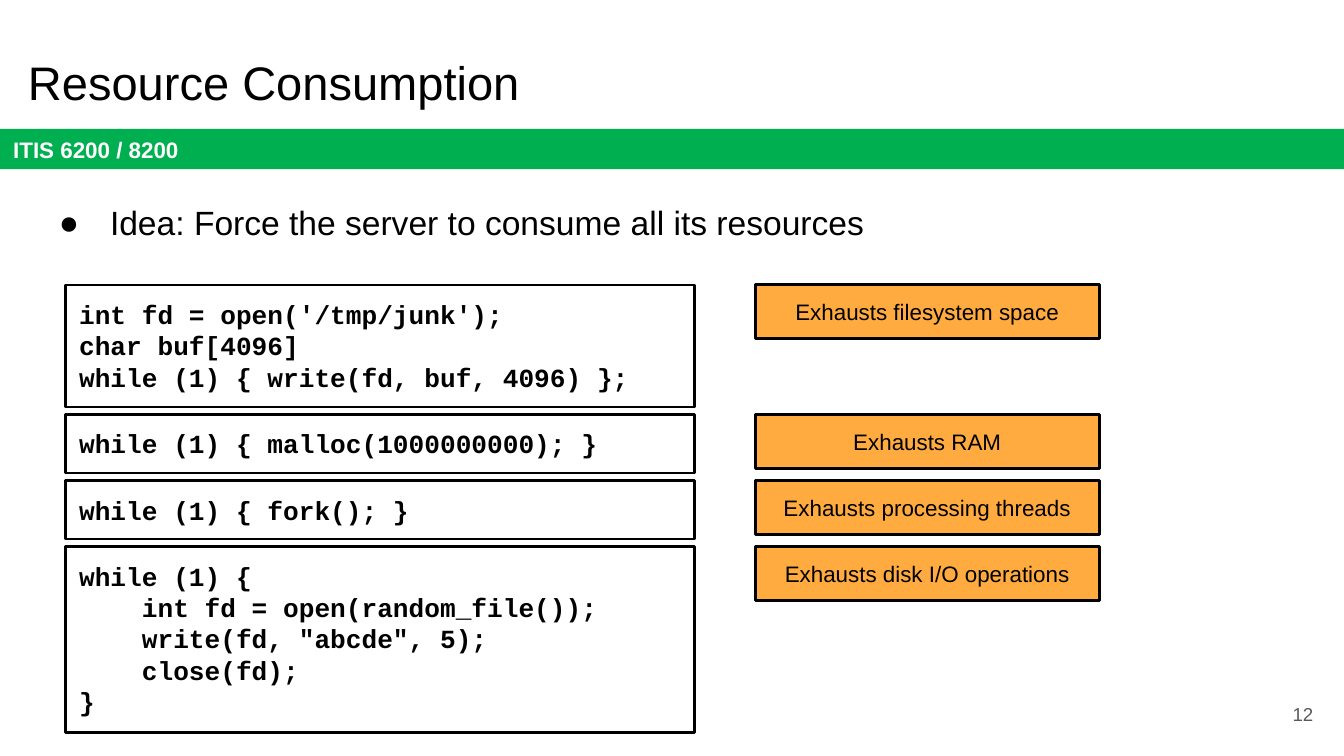
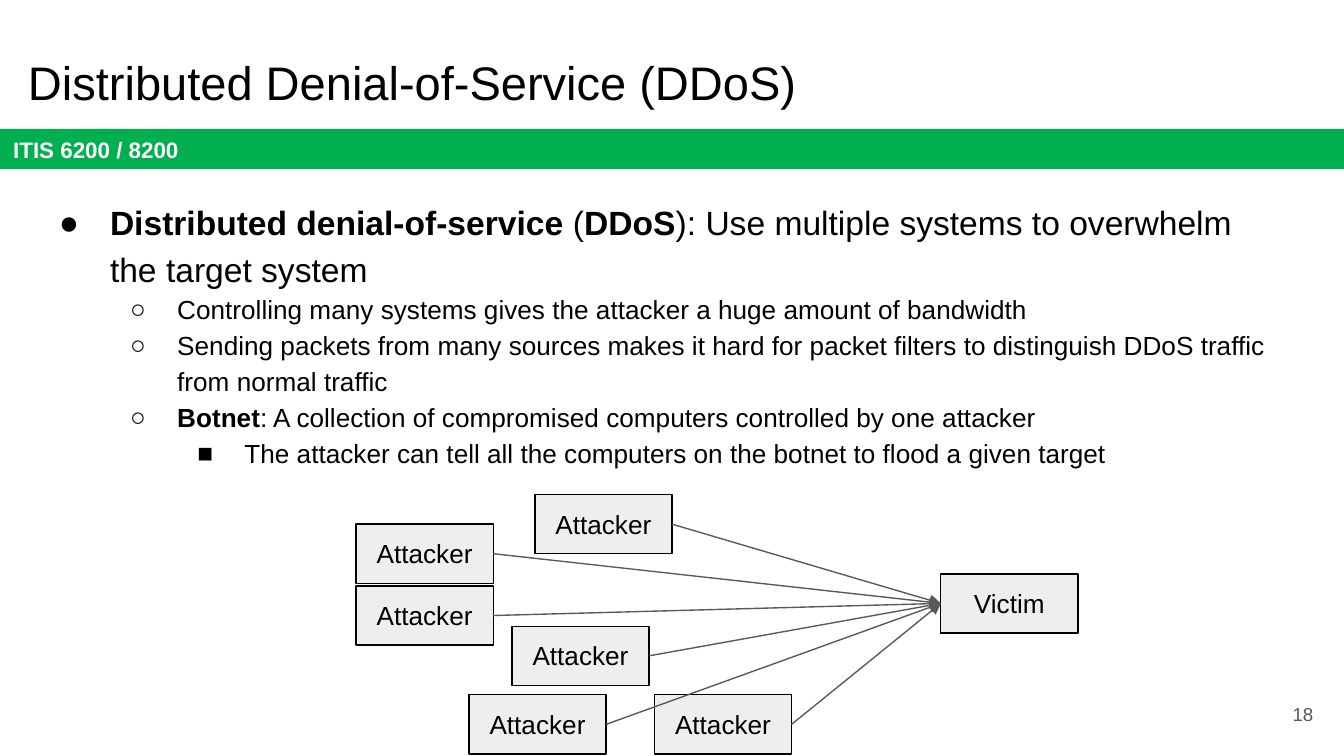
from lxml.etree import SubElement
from pptx import Presentation
from pptx.dml.color import RGBColor
from pptx.enum.shapes import MSO_CONNECTOR, MSO_SHAPE
from pptx.enum.text import MSO_ANCHOR, PP_ALIGN
from pptx.oxml.ns import qn
from pptx.util import Inches, Pt

HUES = dict(black="000000", white="FFFFFF", green="00B050", gold="FFAB40",
            pale="EEEEEE", gray="595959")
BAND = "ITIS 6200 / 8200"
LEVELS = [("●", 0.5, -0.38, 18), ("○", 1, -0.35, 14), ("■", 1.5, -0.35, 14)]

DRAIN = {
    "title": "Resource Consumption",
    "page": "12",
    "points": [(0, "Idea: Force the server to consume all its resources")],
}
ROWS = [
    (["int fd = open('/tmp/junk');",
      "char buf[4096]",
      "while (1) { write(fd, buf, 4096) };"], "Exhausts filesystem space"),
    (["while (1) { malloc(1000000000); }"], "Exhausts RAM"),
    (["while (1) { fork(); }"], "Exhausts processing threads"),
    (["while (1) {",
      "    int fd = open(random_file());",
      "    write(fd, \"abcde\", 5);",
      "    close(fd);\v}"], "Exhausts disk I/O operations"),
]

FLOOD = {
    "title": "Distributed Denial-of-Service (DDoS)",
    "page": "18",
    "points": [
        (0, "**Distributed denial-of-service** (**DDoS**): Use multiple systems "
            "to overwhelm the target system"),
        (1, "Controlling many systems gives the attacker a huge amount of bandwidth"),
        (1, "Sending packets from many sources makes it hard for packet filters "
            "to distinguish DDoS traffic from normal traffic"),
        (1, "**Botnet**: A collection of compromised computers controlled by one attacker"),
        (2, "The attacker can tell all the computers on the botnet to flood a given target"),
    ],
}
VICTIM = (7, 4.27)
BOTS = [(2.65, 3.9), (2.65, 4.36), (3.98, 3.68), (3.81, 4.66), (4.87, 5.17), (3.49, 5.17)]


def tint(name):
    return RGBColor.from_string(HUES[name])


def write(para, text, size=14, face="Arial", hue="black", bold=False, align=PP_ALIGN.LEFT):
    para.alignment = align
    for i, part in enumerate(text.split("\v")):
        if i:
            para.add_line_break()
        run = para.add_run()
        run.text = part
        font = run.font
        font.size, font.name, font.bold = Pt(size), face, bold
        font.color.rgb = tint(hue)


def setup(shape, anchor=MSO_ANCHOR.TOP):
    frame = shape.text_frame
    frame.word_wrap = True
    frame.vertical_anchor = anchor
    frame.margin_left = frame.margin_right = Inches(0.1)
    frame.margin_top = frame.margin_bottom = Inches(0.1)
    return frame


def fill(frame, lines, **style):
    for i, line in enumerate(lines):
        para = frame.add_paragraph() if i else frame.paragraphs[0]
        write(para, line, **style)


def label(slide, area, text, anchor=MSO_ANCHOR.TOP, **style):
    shape = slide.shapes.add_textbox(*map(Inches, area))
    fill(setup(shape, anchor), [text], **style)


def box(slide, area, lines, back="white", edge=None, anchor=MSO_ANCHOR.TOP, **style):
    shape = slide.shapes.add_shape(MSO_SHAPE.RECTANGLE, *map(Inches, area))
    shape.shadow.inherit = False
    shape.fill.solid()
    shape.fill.fore_color.rgb = tint(back)
    if edge:
        shape.line.color.rgb = tint("black")
        shape.line.width = Pt(edge)
    else:
        shape.line.fill.background()
    fill(setup(shape, anchor), lines, **style)
    return shape


def bullet(para, level, text):
    mark, left, hang, size = LEVELS[level]
    props = para._p.get_or_add_pPr()
    props.set("marL", str(Inches(left)))
    props.set("indent", str(Inches(hang)))
    color = SubElement(props, qn("a:buClr"))
    SubElement(color, qn("a:srgbClr"), val=HUES["black"])
    SubElement(props, qn("a:buFont"), typeface="Arial")
    SubElement(props, qn("a:buChar"), char=mark)
    para.level = level
    para.line_spacing = 1.15
    for i, part in enumerate(text.split("**")):
        if part:
            write(para, part, size=size, bold=i % 2 == 1)


def arrow(slide, start, end):
    line = slide.shapes.add_connector(MSO_CONNECTOR.STRAIGHT, 0, 0, 0, 0)
    line.begin_connect(start, 3)
    line.end_connect(end, 1)
    line.line.color.rgb = tint("gray")
    line.line.width = Pt(0.75)
    props = line._element.spPr
    SubElement(props.find(qn("a:ln")), qn("a:tailEnd"), type="triangle")
    SubElement(props, qn("a:effectLst"))


def base(deck, data, tall):
    slide = deck.slides.add_slide(deck.slide_layouts[6])
    box(slide, (0, 0.96, 10, 0.3), [BAND], back="green", anchor=MSO_ANCHOR.MIDDLE,
        size=12, hue="white", bold=True)
    label(slide, (0.11, 0.3, 9.32, 0.63), data["title"], size=25.2)
    body = slide.shapes.add_textbox(*map(Inches, (0.22, 1.36, 9.32, tall)))
    frame = setup(body)
    for i, (level, text) in enumerate(data["points"]):
        bullet(frame.add_paragraph() if i else frame.paragraphs[0], level, text)
    label(slide, (9.27, 5.1, 0.6, 0.43), data["page"], anchor=MSO_ANCHOR.MIDDLE,
          size=10, hue="gray", align=PP_ALIGN.RIGHT)
    return slide


def drain(deck):
    slide = base(deck, DRAIN, 0.95)
    top, step, gap = 2.12, 17 / 72, 4 / 72
    for code, note in ROWS:
        count = len("\v".join(code).split("\v"))
        tall = 0.2 + step * count
        box(slide, (0.49, top, 4.68, tall), code, edge=1.5, face="Courier New", bold=True)
        box(slide, (5.62, top, 2.56, 0.4), [note], back="gold", edge=1.5,
            size=12, align=PP_ALIGN.CENTER)
        top += tall + gap


def flood(deck):
    slide = base(deck, FLOOD, 4.12)

    def node(spot, name):
        return box(slide, (*spot, 1.02, 0.44), [name], back="pale", edge=0.75,
                   align=PP_ALIGN.CENTER)

    victim = node(VICTIM, "Victim")
    bots = [node(spot, "Attacker") for spot in BOTS]
    for bot in bots:
        arrow(slide, bot, victim)


def main():
    deck = Presentation()
    deck.slide_width = Inches(10)
    deck.slide_height = deck.slide_width * 9 // 16
    drain(deck)
    flood(deck)
    deck.save("out.pptx")


if __name__ == "__main__":
    main()
